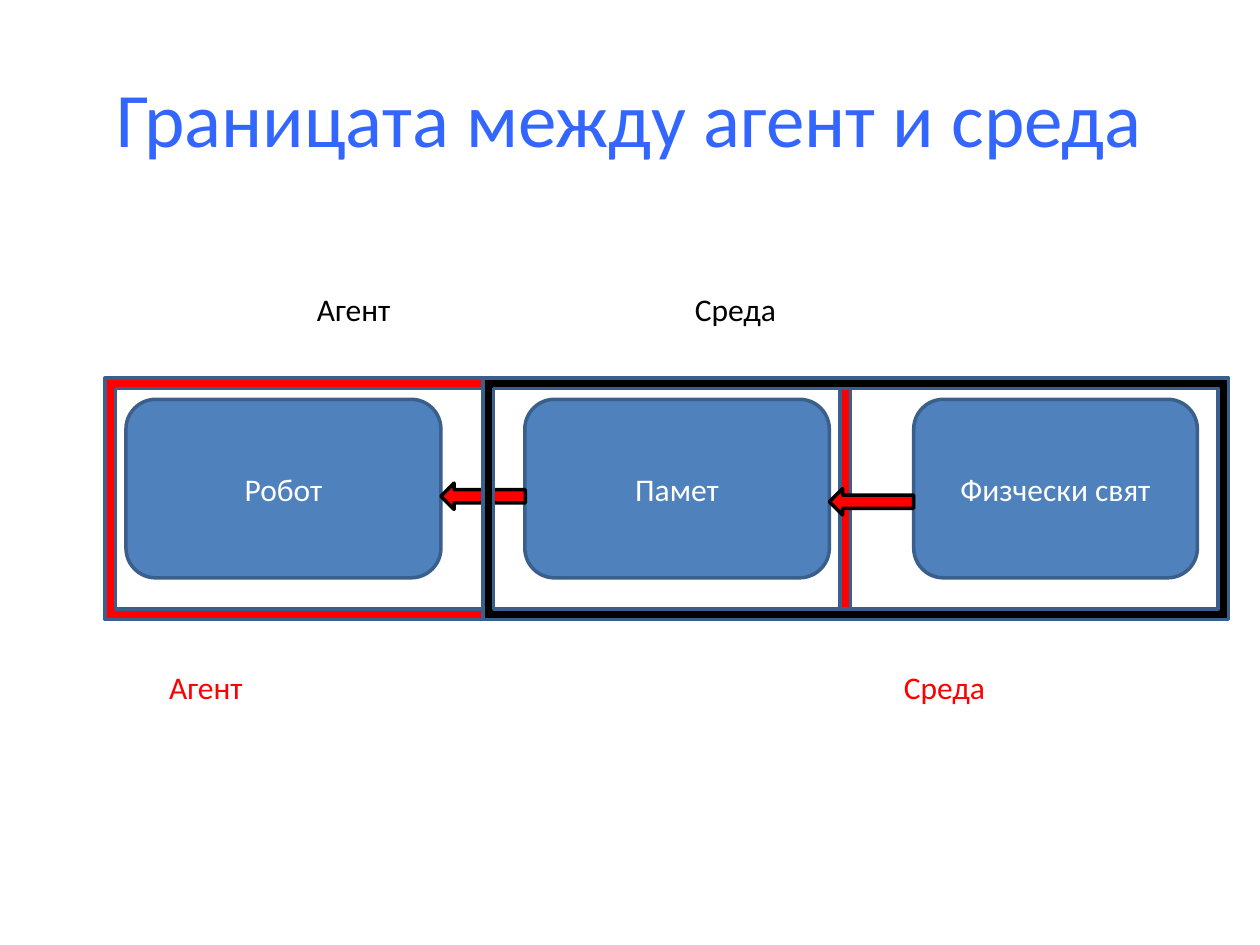
from lxml import etree
from pptx import Presentation
from pptx import util as u
from pptx.dml.color import RGBColor
from pptx.enum import shapes, text
from pptx.oxml.ns import qn

RED, BLACK, WHITE = "FF0000", "000000", "FFFFFF"
BLUE, EDGE, TITLE = "4F81BD", "3A5F8C", "3366FF"
KIND = shapes.MSO_SHAPE


def color(value):
    return RGBColor.from_string(value)


class Drawing:
    font = "Calibri"
    line_width = u.Pt(2)

    def __init__(self, page):
        self.page = page

    def format_text(self, para, size, ink):
        for span in para.runs:
            span.font.name = self.font
            span.font.size = u.Pt(size)
            span.font.color.rgb = color(ink)

    def shape(self, kind, left, top, width, height, fill, line):
        box = self.page.shapes.add_shape(
            kind, u.Cm(left), u.Cm(top), u.Cm(width), u.Cm(height))
        box.shadow.inherit = False
        box.fill.solid()
        box.fill.fore_color.rgb = color(fill)
        box.line.color.rgb = color(line)
        box.line.width = self.line_width
        return box

    def frame(self, left, fill):
        box = self.shape(KIND.FRAME, left, 7.62, 15.03, 4.87, fill, EDGE)
        box.adjustments[0] = 0.044

    def block(self, left, width, words):
        box = self.shape(KIND.ROUNDED_RECTANGLE, left, 8.05, width, 3.6, BLUE, EDGE)
        box.text_frame.text = words
        box.text_frame.vertical_anchor = text.MSO_ANCHOR.MIDDLE
        para = box.text_frame.paragraphs[0]
        para.alignment = text.PP_ALIGN.CENTER
        self.format_text(para, 18, WHITE)

    def arrow(self, left, top):
        self.shape(KIND.LEFT_ARROW, left, top, 1.7, 0.53, RED, BLACK)

    def text_box(self, left, top, width, height, words, size, ink):
        box = self.page.shapes.add_textbox(
            u.Cm(left), u.Cm(top), u.Cm(width), u.Cm(height))
        box.text_frame.word_wrap = True
        box.text_frame.text = words
        self.format_text(box.text_frame.paragraphs[0], size, ink)
        return box.text_frame

    def title(self, words):
        body = self.text_box(1.27, 0.76, 22.86, 3.18, words, 44, TITLE)
        body.vertical_anchor = text.MSO_ANCHOR.MIDDLE
        body.paragraphs[0].alignment = text.PP_ALIGN.CENTER

    def label_pair(self, left, top, width, inset, gap, ink):
        """Two labels on one line, the second at a tab stop."""
        body = self.text_box(left, top, width, 1.03, "Агент\tСреда", 18, ink)
        body.margin_left = u.Cm(inset)
        props = body.paragraphs[0]._p.get_or_add_pPr()
        stops = etree.SubElement(props, qn("a:tabLst"))
        etree.SubElement(stops, qn("a:tab"), pos=str(u.Cm(gap)), algn="l")


def main():
    deck = Presentation()
    deck.slide_width, deck.slide_height = u.Cm(25.4), u.Cm(19.05)
    drawing = Drawing(deck.slides.add_slide(deck.slide_layouts[6]))

    # Agent boundary and title
    drawing.frame(2.12, RED)
    drawing.title("Границата между агент и среда")

    # Parts of the system and the flow between them
    drawing.block(2.54, 6.35, "Робот")
    drawing.block(10.58, 6.14, "Памет")
    drawing.block(18.42, 5.72, "Физчески свят")
    drawing.arrow(16.72, 9.85)
    drawing.arrow(8.89, 9.74)

    # Environment boundary lies over the arrows
    drawing.frame(9.74, BLACK)

    # Labels for the two ways to draw the border
    drawing.label_pair(6.14, 5.72, 19.35, 0.25, 7.62, BLACK)
    drawing.label_pair(2.72, 13.34, 18.24, 0.69, 14.81, RED)

    deck.save("out.pptx")


if __name__ == "__main__":
    main()
